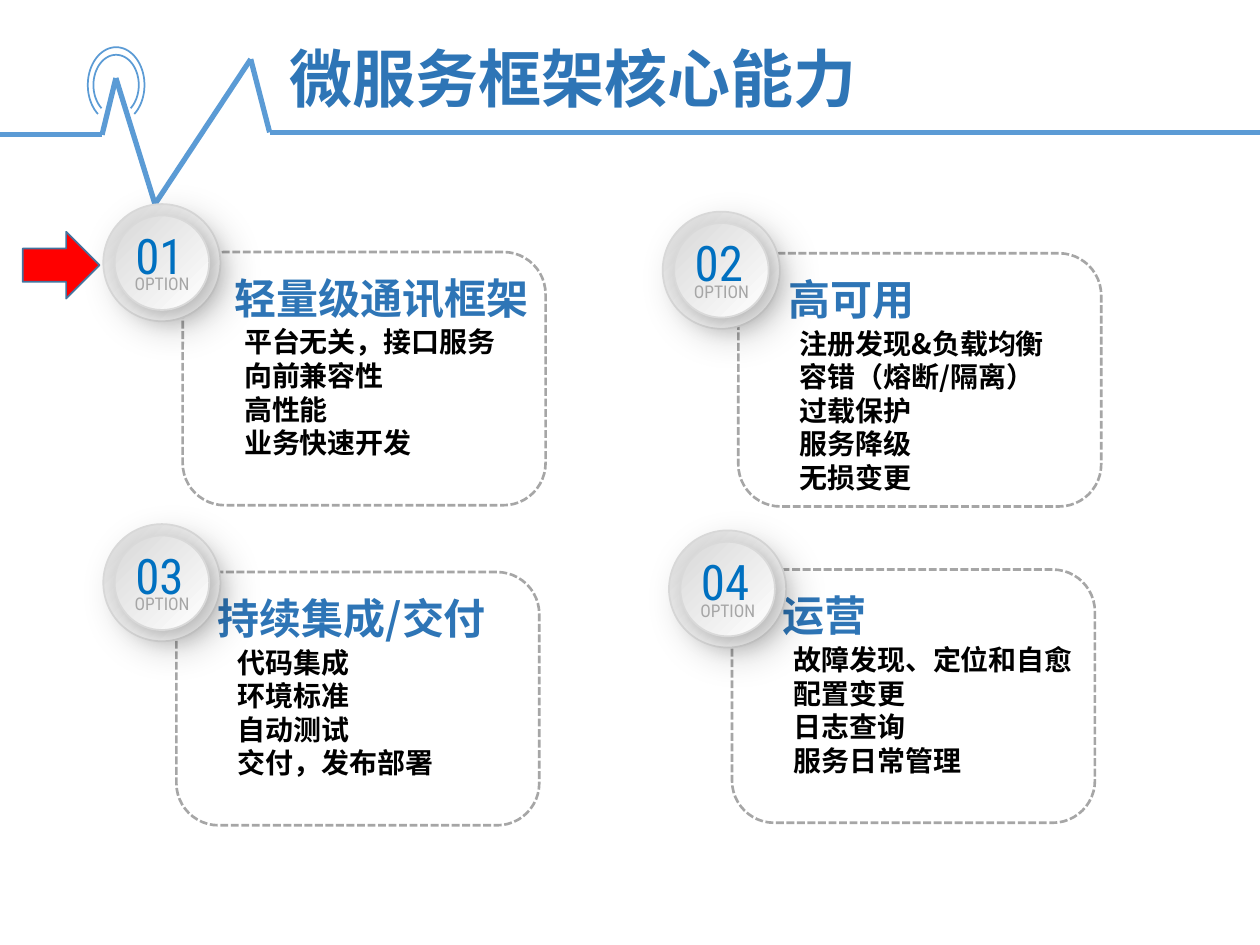
"""Build the slide on the four core abilities of a microservice framework."""
from copy import deepcopy
from itertools import pairwise
from math import cos, radians, sin

from lxml.etree import SubElement
from pptx import Presentation
from pptx.dml.color import RGBColor
from pptx.enum.dml import MSO_LINE
from pptx.enum.lang import MSO_LANGUAGE_ID
from pptx.enum.shapes import MSO_CONNECTOR, MSO_SHAPE
from pptx.enum.text import MSO_ANCHOR, MSO_AUTO_SIZE, PP_ALIGN
from pptx.oxml import parse_xml
from pptx.oxml.ns import nsdecls, qn
from pptx.util import Inches, Pt

BLUE = RGBColor(0x5B, 0x9B, 0xD5)
DARK_BLUE = RGBColor(0x2E, 0x75, 0xB6)
NUMBER_BLUE = RGBColor(0x00, 0x70, 0xC0)
ARROW_EDGE = RGBColor(0x43, 0x73, 0x9E)
RED = RGBColor(0xFF, 0x00, 0x00)
BLACK = RGBColor(0x00, 0x00, 0x00)
WHITE = RGBColor(0xFF, 0xFF, 0xFF)
GREY = RGBColor(0xA6, 0xA6, 0xA6)
LIGHT_GREY = RGBColor(0xD9, 0xD9, 0xD9)
CJK = "Noto Sans CJK SC"
ROBOTO = "Roboto Condensed"

prs = Presentation()
prs.slide_width, prs.slide_height = Inches(10), Inches(7.5)
CELL = prs.slide_width // 100
slide = prs.slides.add_slide(prs.slide_layouts[5])
shapes = slide.shapes


def at(*cells):
    """Turn grid cells, a hundred to the slide's width, into lengths."""
    return [round(c * CELL) for c in cells]


def write(s, text, size, color, font=CJK, align=PP_ALIGN.LEFT):
    """Fill a box with text, one paragraph a line."""
    tf = s.text_frame
    tf.text = text
    tf.word_wrap = True
    tf.auto_size = MSO_AUTO_SIZE.NONE
    tf.vertical_anchor = MSO_ANCHOR.TOP
    for p in tf.paragraphs:
        p.alignment = align
        if font != ROBOTO:
            p.line_spacing = Pt(size * 1.2)
        for r in p.runs:
            r.font.size = Pt(size)
            r.font.name = font
            r.font.bold = font != ROBOTO
            r.font.color.rgb = color
            if font != ROBOTO:
                r.font.language_id = MSO_LANGUAGE_ID.SIMPLIFIED_CHINESE
                SubElement(r.font._element, qn("a:ea")).set("typeface", CJK)


title = shapes.title
title.left, title.top, title.width, title.height = at(22, 2.6, 78, 7.1)
write(title, "微服务框架核心能力", 36, DARK_BLUE, "League Spartan")

pulse = [(0, 10.7), (8.1, 10.7), (9.2, 6.2), (12.3, 16.2),
         (19.9, 4.7), (21.4, 10.5), (100, 10.5)]
for start, end in pairwise(pulse):
    s = shapes.add_connector(MSO_CONNECTOR.STRAIGHT, *at(*start, *end))
    s.line.color.rgb = BLUE
    s.line.width = Pt(3)
    SubElement(s._element.spPr, qn("a:effectLst"))

for rx, ry in [(1.8, 2.4), (2.25, 3)]:
    arc = [at(9.22 + rx * cos(radians(a)), 6.75 + ry * sin(radians(a)))
           for a in range(130, 411, 5)]
    builder = shapes.build_freeform(*arc[0])
    builder.add_line_segments(arc[1:], close=False)
    s = builder.convert_to_shape()
    s.shadow.inherit = False
    s.fill.background()
    s.line.color.rgb = BLUE
    s.line.width = Pt(1)

cards = [
    ((14.5, 20), (8.2, 16.2), 3.1, "轻量级通讯框架",
     ["平台无关，接口服务", "向前兼容性", "高性能", "业务快速开发"]),
    ((58.6, 20.1), (52.6, 16.8), 3, "高可用",
     ["注册发现&负载均衡", "容错（熔断/隔离）", "过载保护", "服务降级", "无损变更"]),
    ((14, 45.4), (8.2, 41.6), 2.3, "持续集成/交付",
     ["代码集成", "环境标准", "自动测试", "交付，发布部署"]),
    ((58.1, 45.2), (53.1, 42.1), 3, "运营",
     ["故障发现、定位和自愈", "配置变更", "日志查询", "服务日常管理"]),
]
discs = [(0, 9.3, 15, 20, 8), (0.9, 7.5, 25, 13, 6)]

for number, ((x, y), (bx, by), indent, heading, items) in enumerate(cards, 1):
    s = shapes.add_shape(MSO_SHAPE.ROUNDED_RECTANGLE, *at(x, y, 28.8, 20.1))
    s.shadow.inherit = False
    s.fill.background()
    s.line.color.rgb = GREY
    s.line.width = Pt(1.5)
    s.line.dash_style = MSO_LINE.SQUARE_DOT
    s = shapes.add_textbox(*at(x + indent, y + 1.1, 26.7, 5))
    write(s, heading, 24, DARK_BLUE)
    s = shapes.add_textbox(*at(x + 3.9, y + 5.3, 25.7, 14.5))
    write(s, "\n".join(items), 16, BLACK)

    for inset, size, alpha, blur, dist in discs:
        s = shapes.add_shape(MSO_SHAPE.OVAL, *at(bx + inset, by + inset, size, size))
        s.fill.gradient()
        s.fill.gradient_angle = 315
        for stop, color, position in zip(s.fill.gradient_stops, (LIGHT_GREY, WHITE), (0, 1)):
            stop.color.rgb = color
            stop.position = position
        s.line.width = Pt(1)
        spPr = s._element.spPr
        spPr.find(qn("a:ln")).insert(0, deepcopy(spPr.find(qn("a:gradFill"))))
        s.shadow.inherit = False
        spPr.find(qn("a:effectLst")).append(parse_xml(
            f'<a:outerShdw {nsdecls("a")} blurRad="{Pt(blur)}" dist="{Pt(dist)}" '
            f'dir="2700000" algn="tl" rotWithShape="0"><a:srgbClr val="{BLACK}">'
            f'<a:alpha val="{alpha * 1000}"/></a:srgbClr></a:outerShdw>'))

    s = shapes.add_textbox(*at(bx + 0.7, by + 1.2, 7.5, 5.7))
    write(s, f"{number:02}", 28, NUMBER_BLUE, ROBOTO, PP_ALIGN.CENTER)
    s = shapes.add_textbox(*at(bx + 1.5, by + 5, 6.4, 2.8))
    write(s, "OPTION", 10, GREY, ROBOTO)

s = shapes.add_shape(MSO_SHAPE.RIGHT_ARROW, *at(1.8, 18.4, 6.1, 5.3))
s.shadow.inherit = False
s.fill.solid()
s.fill.fore_color.rgb = RED
s.line.color.rgb = ARROW_EDGE
s.line.width = Pt(1)

prs.save("out.pptx")
